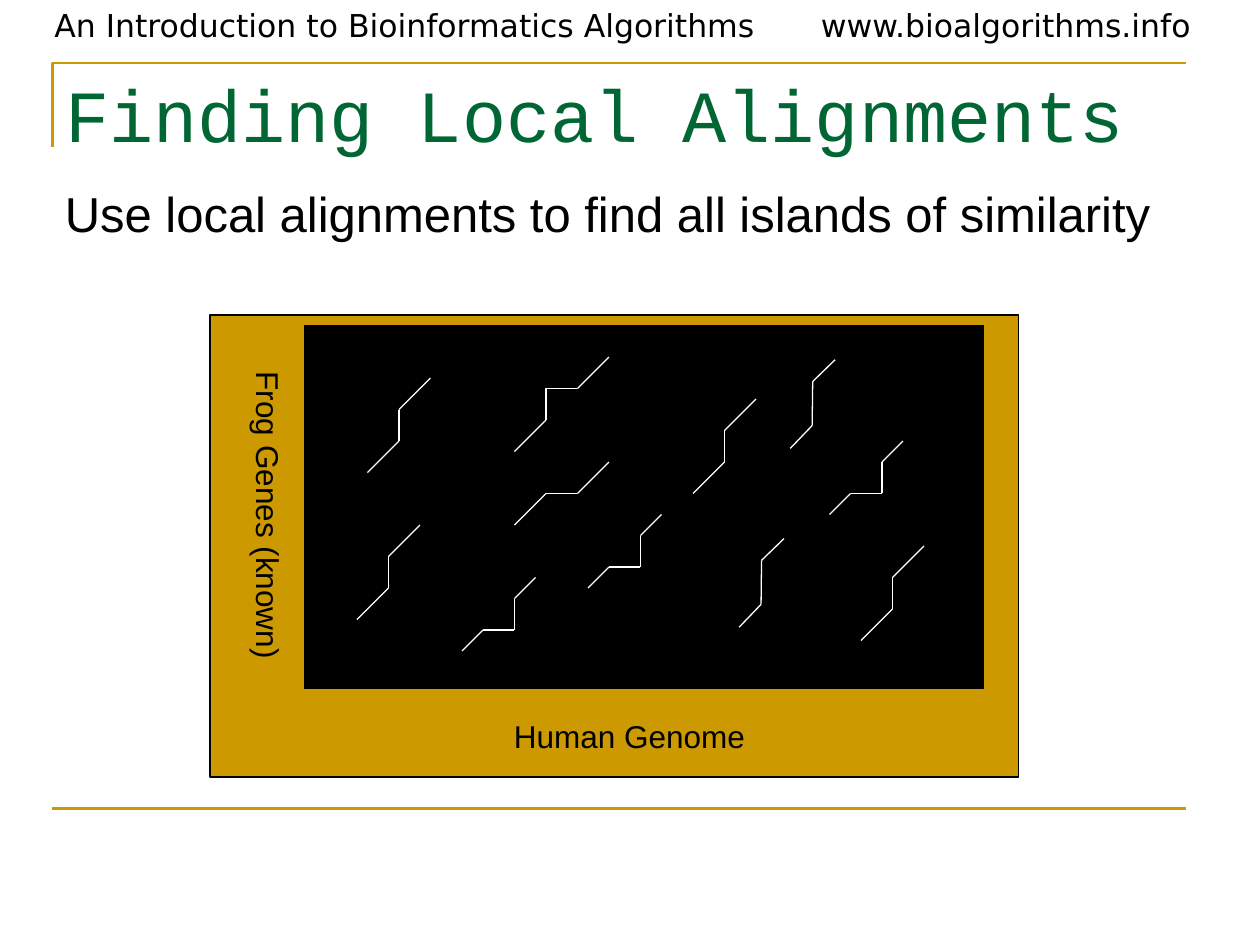
from dataclasses import dataclass
from itertools import pairwise

from lxml.etree import SubElement
from pptx import Presentation
from pptx.dml.color import RGBColor
from pptx.enum.shapes import MSO_CONNECTOR, MSO_SHAPE
from pptx.enum.text import MSO_ANCHOR, MSO_AUTO_SIZE, PP_ALIGN
from pptx.oxml.ns import qn
from pptx.shapes.base import BaseShape
from pptx.slide import Slide
from pptx.util import Pt

BLACK = RGBColor(0x00, 0x00, 0x00)
WHITE = RGBColor(0xFF, 0xFF, 0xFF)
GOLD = RGBColor(0xCC, 0x99, 0x00)
GREEN = RGBColor(0x00, 0x66, 0x33)

Point = tuple[float, float]
Steps = tuple[Point, ...]


@dataclass(frozen=True)
class Box:
    left: float
    top: float
    width: float
    height: float

    def in_points(self) -> tuple[Pt, Pt, Pt, Pt]:
        return Pt(self.left), Pt(self.top), Pt(self.width), Pt(self.height)


@dataclass(frozen=True)
class Alignment:
    start: Point
    steps: Steps

    def corners(self) -> list[Point]:
        points = [self.start]
        for across, down in self.steps:
            x, y = points[-1]
            points.append((x + across, y + down))
        return points


@dataclass(frozen=True)
class Label:
    text: str
    box: Box
    font: str = "Arial"
    size: float = 18
    space_before: float = 11.2
    line_spacing: float = 1
    rotation: float = 0


SHORT_DIAGONAL = (12, -12)
DIAGONAL = (18, -18)
RIGHT = (18, 0)
UP = (0, -18)

STAIRCASE = (SHORT_DIAGONAL, RIGHT, UP, SHORT_DIAGONAL)
VERTICAL_GAP = (DIAGONAL, UP, DIAGONAL)
HORIZONTAL_GAP = (DIAGONAL, RIGHT, DIAGONAL)
DOUBLE_GAP = (DIAGONAL, UP, RIGHT, DIAGONAL)
LONG_GAP = ((12.5, -13), (0.3, -25.2), (12.8, -12.4))

ALIGNMENTS = [
    Alignment((264, 372), STAIRCASE),
    Alignment((336, 336), STAIRCASE),
    Alignment((474, 294), STAIRCASE),
    Alignment((294, 300), HORIZONTAL_GAP),
    Alignment((451.6, 256.2), LONG_GAP),
    Alignment((422.4, 358.4), LONG_GAP),
    Alignment((396, 282), VERTICAL_GAP),
    Alignment((210, 270), VERTICAL_GAP),
    Alignment((204, 354), VERTICAL_GAP),
    Alignment((492, 366), VERTICAL_GAP),
    Alignment((294, 258), DOUBLE_GAP),
]

LABELS = [
    Label("An Introduction to Bioinformatics Algorithms",
          Box(24, 0, 436.3, 28.8), font="DejaVu Sans"),
    Label("www.bioalgorithms.info", Box(462, 0, 241.2, 28.8), font="DejaVu Sans"),
    Label("Use local alignments to find all islands of similarity",
          Box(30, 108, 690, 71.3), size=28, space_before=7, line_spacing=0.8),
    Label("Human Genome", Box(286.6, 406, 159.8, 28.8)),
    Label("Frog Genes (known)", Box(49.7, 294.5, 207.4, 28.8), rotation=90),
]


def write_text(shape: BaseShape, text: str, *, font: str, size: float, color: RGBColor,
               space_before: float = 0, line_spacing: float = 1) -> None:
    frame = shape.text_frame
    frame.word_wrap = True
    frame.auto_size = MSO_AUTO_SIZE.NONE
    frame.vertical_anchor = MSO_ANCHOR.TOP
    paragraph = frame.paragraphs[0]
    paragraph.alignment = PP_ALIGN.LEFT
    paragraph.space_before = Pt(space_before)
    paragraph.line_spacing = line_spacing
    run = paragraph.add_run()
    run.text = text
    run.font.name = font
    run.font.size = Pt(size)
    run.font.color.rgb = color


def add_title(slide: Slide, text: str, box: Box) -> None:
    title = slide.shapes.title
    title.left, title.top, title.width, title.height = box.in_points()
    write_text(title, text, font="Courier New", size=42, color=GREEN)


def add_label(slide: Slide, label: Label) -> None:
    shape = slide.shapes.add_textbox(*label.box.in_points())
    shape.rotation = label.rotation
    write_text(shape, label.text, font=label.font, size=label.size, color=BLACK,
               space_before=label.space_before, line_spacing=label.line_spacing)


def add_rectangle(slide: Slide, box: Box, fill: RGBColor) -> None:
    shape = slide.shapes.add_shape(MSO_SHAPE.RECTANGLE, *box.in_points())
    shape.shadow.inherit = False
    shape.fill.solid()
    shape.fill.fore_color.rgb = fill
    shape.line.color.rgb = BLACK
    shape.line.width = Pt(0.75)


def add_line(slide: Slide, start: Point, end: Point, color: RGBColor, width: float) -> None:
    line = slide.shapes.add_connector(
        MSO_CONNECTOR.STRAIGHT, Pt(start[0]), Pt(start[1]), Pt(end[0]), Pt(end[1]))
    line.line.color.rgb = color
    line.line.width = Pt(width)
    SubElement(line._element.spPr, qn("a:effectLst"))


def add_corner_rule(slide: Slide, points: list[Point]) -> None:
    first, *rest = [(Pt(x), Pt(y)) for x, y in points]
    builder = slide.shapes.build_freeform(*first)
    builder.add_line_segments(rest, close=False)
    shape = builder.convert_to_shape()
    shape.shadow.inherit = False
    shape.fill.background()
    shape.line.color.rgb = GOLD
    shape.line.width = Pt(1.5)


def main() -> None:
    presentation = Presentation()
    presentation.slide_width = Pt(720)
    presentation.slide_height = Pt(540)
    slide = presentation.slides.add_slide(presentation.slide_layouts.get_by_name("Title Only"))

    add_corner_rule(slide, [(30, 84), (30, 36), (678, 36)])
    add_line(slide, (30, 462), (678, 462), GOLD, 1.5)
    add_title(slide, "Finding Local Alignments", Box(30, 36, 648, 90))
    add_rectangle(slide, Box(120, 180, 462, 264), GOLD)
    add_rectangle(slide, Box(174, 186, 388, 207.4), BLACK)
    for label in LABELS:
        add_label(slide, label)
    for alignment in ALIGNMENTS:
        for start, end in pairwise(alignment.corners()):
            add_line(slide, start, end, WHITE, 0.75)

    presentation.save("out.pptx")


if __name__ == "__main__":
    main()
